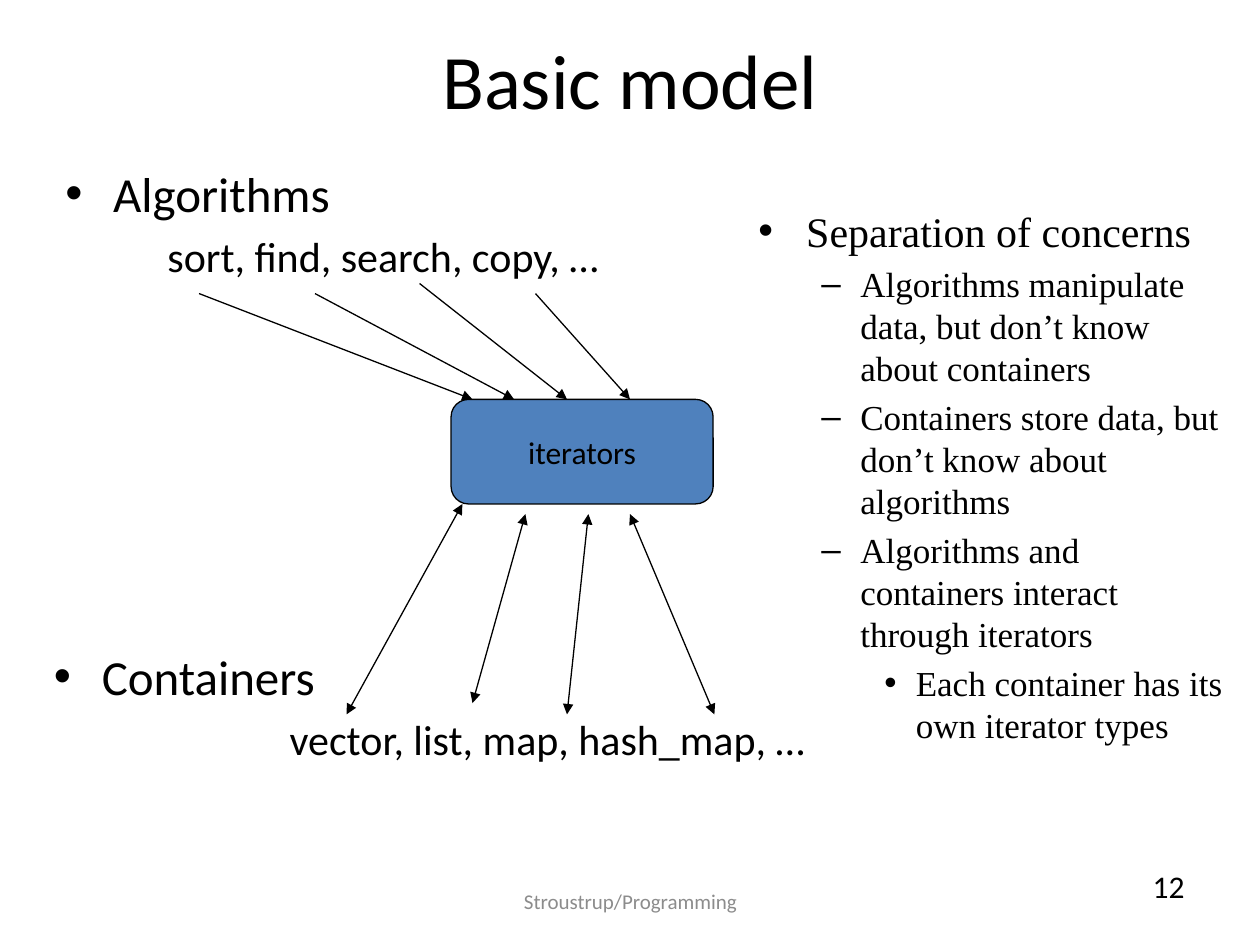
from lxml import etree
from pptx import Presentation
from pptx.dml.color import RGBColor
from pptx.enum.shapes import MSO_CONNECTOR, MSO_SHAPE
from pptx.enum.text import MSO_ANCHOR, PP_ALIGN
from pptx.oxml.ns import qn
from pptx.util import Inches, Pt

LEFT, CENTER, RIGHT = PP_ALIGN.LEFT, PP_ALIGN.CENTER, PP_ALIGN.RIGHT
TOP, MIDDLE = MSO_ANCHOR.TOP, MSO_ANCHOR.MIDDLE
BLACK = RGBColor(0, 0, 0)
GRAY = RGBColor(0x8C, 0x8C, 0x8C)
BLUE = RGBColor(0x4F, 0x81, 0xBD)
SANS, SERIF = "Calibri", "Times New Roman"
LINE_WIDTH = Pt(0.75)

TITLE = "Basic model"
TITLE_BOX = (0.5, 0, 9, 1.25)

# Paragraphs: text, size, level, bullet, left margin, first-line indent
BULLET_LISTS = [
    ((0.42, 1.25, 9, 1.5), SANS, [
        ("Algorithms", 28, 0, "•", 0.38, -0.38),
        ("sort, find, search, copy, …", 24, 1, None, 0.81, 0),
    ]),
    ((0.33, 5.08, 9, 1.28), SANS, [
        ("Containers", 28, 0, "•", 0.38, -0.38),
        ("vector, list, map, hash_map, …", 24, 1, None, 1.87, 0),
    ]),
    ((5.92, 1.58, 3.92, 5.17), SERIF, [
        ("Separation of concerns", 24, 0, "•", 0.38, -0.38),
        ("Algorithms manipulate data, but don’t know about containers",
         20, 1, "–", 0.81, -0.31),
        ("Containers store data, but don’t know about algorithms",
         20, 1, "–", 0.81, -0.31),
        ("Algorithms and containers interact through iterators",
         20, 1, "–", 0.81, -0.31),
        ("Each container has its own iterator types", 20, 2, "•", 1.25, -0.25),
    ]),
]

# Labels: text, box, size, colour, alignment, anchor
LABELS = [
    ("12", (7.17, 6.83, 2.33, 0.52), 18, BLACK, RIGHT, TOP),
    ("Stroustrup/Programming", (3.42, 6.95, 3.17, 0.4), 12, GRAY, CENTER, MIDDLE),
]

ITERATORS = "iterators"
ITERATORS_BOX = (3.58, 3.17, 2.08, 0.83)

# Arrows: start point, end point
ALGORITHM_ARROWS = [
    ((1.58, 2.33), (3.75, 3.17)),
    ((2.5, 2.33), (4.08, 3.17)),
    ((3.33, 2.25), (4.5, 3.17)),
    ((4.25, 2.33), (5, 3.17)),
]
CONTAINER_ARROWS = [
    ((2.75, 5.67), (3.67, 4)),
    ((3.75, 5.58), (4.17, 4.08)),
    ((4.5, 5.67), (4.67, 4.08)),
    ((5.67, 5.67), (5, 4.08)),
]


def inches(values):
    return [Inches(value) for value in values]


def add_run(paragraph, text, size, color=BLACK, font=SANS):
    run = paragraph.add_run()
    run.text = text
    run.font.name = font
    run.font.size = Pt(size)
    run.font.color.rgb = color


def add_text_box(slide, box):
    frame = slide.shapes.add_textbox(*inches(box)).text_frame
    frame.word_wrap = True
    return frame


def set_label(frame, text, size, color=BLACK, alignment=CENTER, anchor=MIDDLE):
    frame.vertical_anchor = anchor
    paragraph = frame.paragraphs[0]
    paragraph.alignment = alignment
    add_run(paragraph, text, size, color)


def set_bullet(paragraph, bullet, margin, indent):
    properties = paragraph._p.get_or_add_pPr()
    properties.set("marL", str(Inches(margin)))
    properties.set("indent", str(Inches(indent)))
    if bullet:
        font = etree.SubElement(properties, qn("a:buFont"))
        font.set("typeface", "Arial")
        etree.SubElement(properties, qn("a:buChar")).set("char", bullet)
    else:
        etree.SubElement(properties, qn("a:buNone"))


def add_bullet_list(slide, box, font, items):
    frame = add_text_box(slide, box)
    for index, (text, size, level, bullet, margin, indent) in enumerate(items):
        paragraph = frame.add_paragraph() if index else frame.paragraphs[0]
        paragraph.level = level
        paragraph.alignment = LEFT
        paragraph.space_before = Pt(0.2 * size)
        set_bullet(paragraph, bullet, margin, indent)
        add_run(paragraph, text, size, font=font)


def add_arrow(slide, start, end, ends):
    arrow = slide.shapes.add_connector(
        MSO_CONNECTOR.STRAIGHT, *inches(start + end))
    arrow.line.color.rgb = BLACK
    arrow.line.width = LINE_WIDTH
    line = arrow.line._get_or_add_ln()
    for name in ends:
        etree.SubElement(line, qn(name)).set("type", "triangle")
    etree.SubElement(arrow._element.spPr, qn("a:effectLst"))


def add_iterators(slide):
    shape = slide.shapes.add_shape(
        MSO_SHAPE.ROUNDED_RECTANGLE, *inches(ITERATORS_BOX))
    shape.shadow.inherit = False
    shape.fill.solid()
    shape.fill.fore_color.rgb = BLUE
    shape.line.color.rgb = BLACK
    shape.line.width = LINE_WIDTH
    shape.text_frame.word_wrap = False
    set_label(shape.text_frame, ITERATORS, 18)


def main():
    presentation = Presentation()
    presentation.slide_width, presentation.slide_height = Inches(10), Inches(7.5)
    slide = presentation.slides.add_slide(presentation.slide_layouts[5])

    title = slide.shapes.title
    title.left, title.top, title.width, title.height = inches(TITLE_BOX)
    set_label(title.text_frame, TITLE, 44)

    for box, font, items in BULLET_LISTS:
        add_bullet_list(slide, box, font, items)
    add_iterators(slide)
    for start, end in ALGORITHM_ARROWS:
        add_arrow(slide, start, end, ["a:tailEnd"])
    for start, end in CONTAINER_ARROWS:
        add_arrow(slide, start, end, ["a:headEnd", "a:tailEnd"])
    for text, box, *style in LABELS:
        set_label(add_text_box(slide, box), text, *style)

    presentation.save("out.pptx")


if __name__ == "__main__":
    main()
